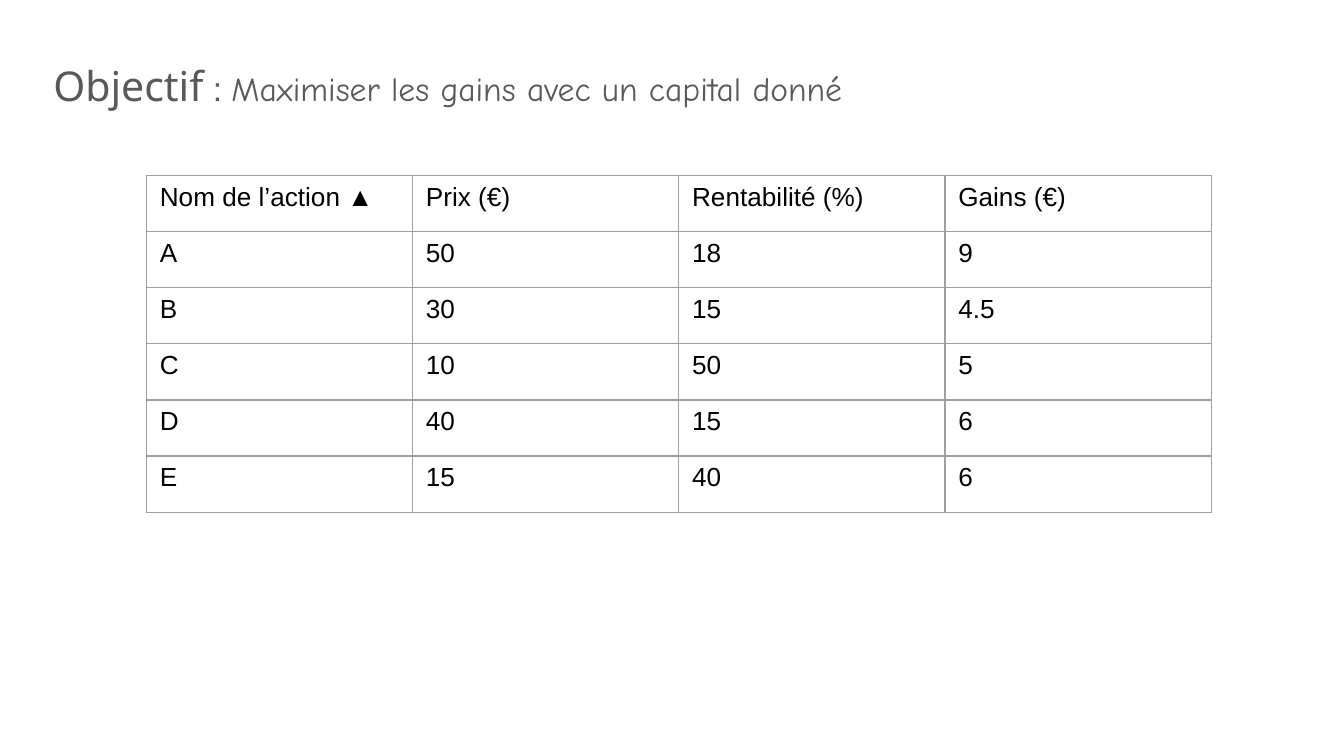
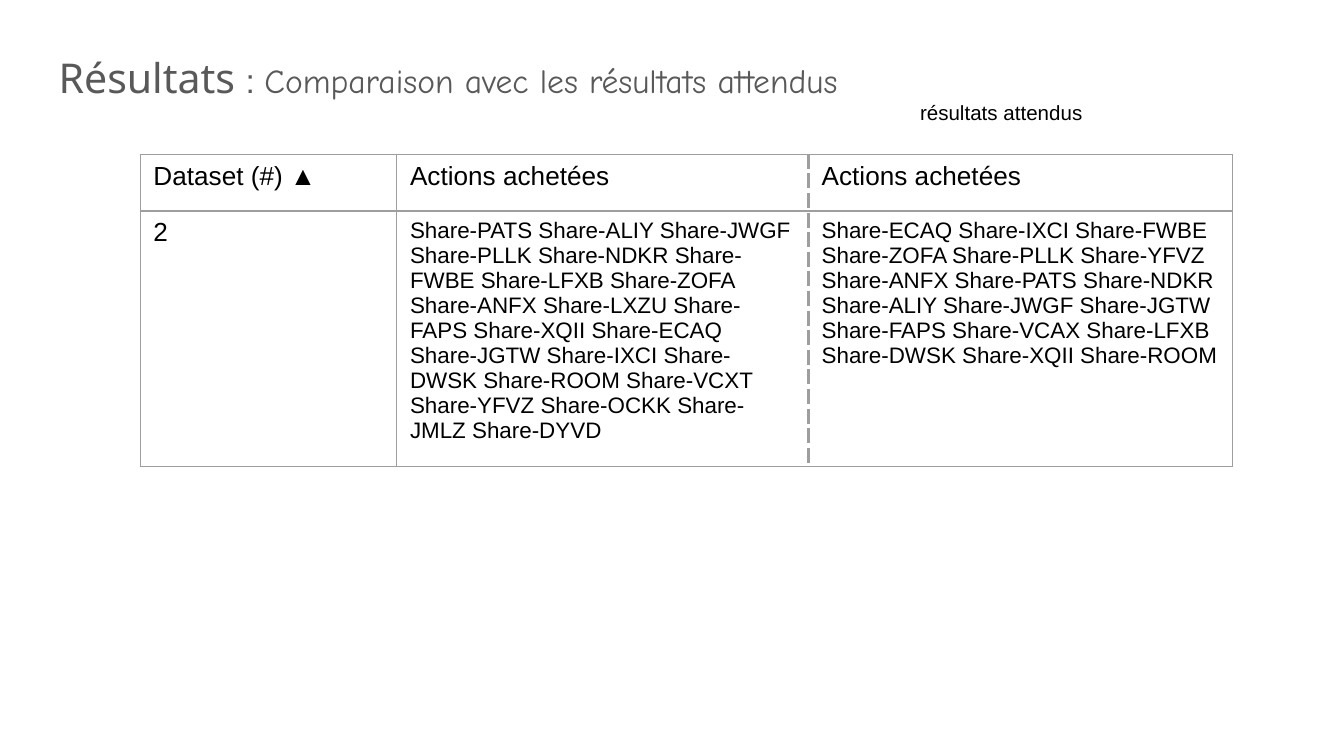
"""Build two slides on share picking: the objective and the results."""
from lxml.etree import SubElement
from pptx import Presentation
from pptx.dml.color import RGBColor
from pptx.enum.text import MSO_ANCHOR, PP_ALIGN
from pptx.oxml.ns import qn
from pptx.util import Cm, Pt

BLACK = RGBColor(0x00, 0x00, 0x00)
GREY = RGBColor(0x59, 0x59, 0x59)
BORDER = RGBColor(0x9E, 0x9E, 0x9E)

LEAD = {"name": "Noto Sans", "size": Pt(22), "color": GREY}
COLON = {"name": "Arial", "size": Pt(18), "color": GREY}
TOPIC = {"name": "Comic Neue", "size": Pt(18), "color": GREY}
CELL = {"name": "Arial", "size": Pt(14), "color": BLACK}
SHARES = {**CELL, "size": Pt(12)}
LABEL = {**CELL, "size": Pt(11)}
TITLE = {"line_spacing": 1.15, "space_after": Pt(12), "alignment": PP_ALIGN.LEFT}
CENTRED = {"alignment": PP_ALIGN.CENTER}
BOX_MARGINS = {f"margin_{side}": Cm(0.25) for side in ("left", "top", "right", "bottom")}
CELL_MARGINS = {**BOX_MARGINS, "margin_top": Cm(0.13), "margin_bottom": Cm(0.13)}


def add_text(page, place, spans, layout):
    box = page.shapes.add_textbox(*map(Cm, place))
    frame = box.text_frame
    for key, value in {**BOX_MARGINS, "word_wrap": True, "vertical_anchor": MSO_ANCHOR.TOP}.items():
        setattr(frame, key, value)
    para = frame.paragraphs[0]
    for key, value in layout.items():
        setattr(para, key, value)
    for text, style in spans:
        span = para.add_run()
        span.text = text
        span.font.name, span.font.size = style["name"], style["size"]
        span.font.color.rgb = style["color"]


def add_grid(page, left, top, widths, heights, rows, styles, dashed=()):
    frame = page.shapes.add_table(len(heights), len(widths), Cm(left), Cm(top),
                                  Cm(sum(widths)), Cm(sum(heights)))
    table = frame.table
    table.first_row = table.horz_banding = False
    for column, width in zip(table.columns, widths):
        column.width = Cm(width)
    for row, height in zip(table.rows, heights):
        row.height = Cm(height)
    for r, texts in enumerate(rows):
        for c, text in enumerate(texts):
            cell = table.cell(r, c)
            for key, value in CELL_MARGINS.items():
                setattr(cell, key, value)
            properties = cell._tc.get_or_add_tcPr()
            for side in "LRTB":
                dash = (c, side) in dashed
                line = SubElement(properties, qn(f"a:ln{side}"), w=str(Pt(1.47 if dash else 0.75)))
                fill = SubElement(line, qn("a:solidFill"))
                SubElement(fill, qn("a:srgbClr"), val=str(BORDER))
                SubElement(line, qn("a:prstDash"), val="dash" if dash else "solid")
            cell.fill.background()
            span = cell.text_frame.paragraphs[0].add_run()
            span.text = text
            style = styles.get((r, c), CELL)
            span.font.name, span.font.size = style["name"], style["size"]
            span.font.color.rgb = style["color"]


deck = Presentation()
deck.slide_width, deck.slide_height = Cm(25.4), Cm(14.29)
blank = deck.slide_layouts[6]

objective = deck.slides.add_slide(blank)
add_text(objective, (0.76, 0.76, 23.67, 1.57), [
    ("Objectif", LEAD),
    (" : ", COLON),
    ("Maximiser les gains avec un capital donné", TOPIC),
], TITLE)
actions = [
    ("Nom de l’action ▲", "Prix (€)", "Rentabilité (%)", "Gains (€)"),
    ("A", "50", "18", "9"),
    ("B", "30", "15", "4.5"),
    ("C", "10", "50", "5"),
    ("D", "40", "15", "6"),
    ("E", "15", "40", "6"),
]
add_grid(objective, 2.77, 3.32, [5.03] * 4, [1.06] * 6, actions, {})

results = deck.slides.add_slide(blank)
bought = ("PATS ALIY JWGF PLLK NDKR FWBE LFXB ZOFA ANFX LXZU FAPS XQII ECAQ JGTW IXCI "
          "DWSK ROOM VCXT YFVZ OCKK JMLZ DYVD")
expected = ("ECAQ IXCI FWBE ZOFA PLLK YFVZ ANFX PATS NDKR ALIY JWGF JGTW FAPS VCAX LFXB "
            "DWSK XQII ROOM")
share_lists = [" ".join(f"Share-{code}" for code in codes.split()) for codes in (bought, expected)]
comparison = [
    ("Dataset (#) ▲", "Actions achetées", "Actions achetées"),
    ("2", *share_lists),
]
add_grid(results, 2.65, 2.92, [4.85, 7.78, 8.01], [1.07, 4.78], comparison,
         {(1, 1): SHARES, (1, 2): SHARES}, {(1, "R"), (2, "L")})
add_text(results, (0.86, 0.61, 23.67, 1.57), [
    ("Résultats ", LEAD),
    (": ", COLON),
    ("Comparaison avec les résultats attendus", TOPIC),
], TITLE)
add_text(results, (15.98, 1.65, 5.89, 0.97), [("résultats attendus", LABEL)], CENTRED)

deck.save("out.pptx")
